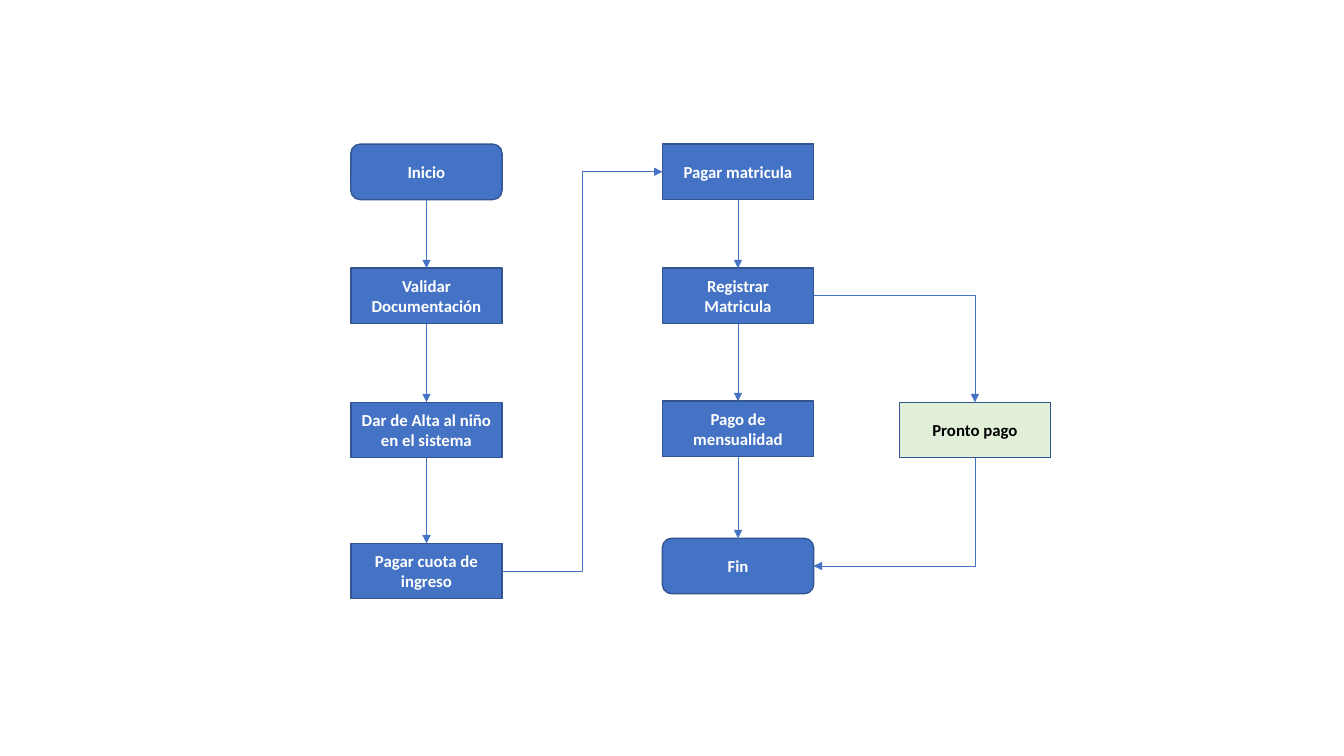
from dataclasses import dataclass

import pptx
import pptx.dml.color
import pptx.enum.shapes
import pptx.enum.text
import pptx.oxml.ns
import pptx.util
from lxml import etree

Inches = pptx.util.Inches
Shapes = pptx.enum.shapes.MSO_SHAPE
Connectors = pptx.enum.shapes.MSO_CONNECTOR
qn = pptx.oxml.ns.qn

COLORS = {"blue": "4472C4", "outline": "325491", "green": "E2F0D9",
          "white": "FFFFFF", "black": "000000"}
STEP_WIDTH, STEP_HEIGHT = Inches(1.5), Inches(0.55)
ENROL_X, PAYMENT_X, DISCOUNT_X = 3.48, 6.57, 8.92
TOP, LEFT, BOTTOM, RIGHT = range(4)  # connection sites of a box


@dataclass(frozen=True)
class Step:
    """A box of the flow, placed in inches."""
    text: str
    left: float
    top: float
    rounded: bool = False
    fill: str = "blue"
    color: str = "white"


@dataclass(frozen=True)
class Link:
    """An arrow between two steps, by key; a preset bends it."""
    source: str
    target: str
    exit: int = BOTTOM
    entry: int = TOP
    bend: str = ""


STEPS = {
    "start": Step("Inicio", ENROL_X, 1.43, rounded=True),
    "validate": Step("Validar Documentación", ENROL_X, 2.66),
    "register_child": Step("Dar de Alta al niño en el sistema", ENROL_X, 3.99),
    "entry_fee": Step("Pagar cuota de ingreso", ENROL_X, 5.39),
    "pay_enrolment": Step("Pagar matricula", PAYMENT_X, 1.43),
    "record_enrolment": Step("Registrar Matricula", PAYMENT_X, 2.66),
    "monthly_fee": Step("Pago de mensualidad", PAYMENT_X, 3.98),
    "end": Step("Fin", PAYMENT_X, 5.34, rounded=True),
    "early_payment": Step("Pronto pago", DISCOUNT_X, 3.99, fill="green", color="black"),
}
LINKS = [
    Link("start", "validate"),
    Link("validate", "register_child"),
    Link("register_child", "entry_fee"),
    Link("entry_fee", "pay_enrolment", RIGHT, LEFT, "bentConnector3"),
    Link("pay_enrolment", "record_enrolment"),
    Link("record_enrolment", "monthly_fee"),
    Link("monthly_fee", "end"),
    Link("record_enrolment", "early_payment", RIGHT, TOP, "bentConnector2"),
    Link("early_payment", "end", BOTTOM, RIGHT, "bentConnector2"),
]


def rgb(name: str) -> pptx.dml.color.RGBColor:
    """Look up a colour by name."""
    return pptx.dml.color.RGBColor.from_string(COLORS[name])


def write_text(frame, text: str, *, size: float = 12, color: str = "white",
               bold: bool = True, font: str = "Calibri") -> None:
    """Write centred text into a text frame."""
    frame.word_wrap = True
    frame.vertical_anchor = pptx.enum.text.MSO_ANCHOR.MIDDLE
    paragraph = frame.paragraphs[0]
    paragraph.alignment = pptx.enum.text.PP_ALIGN.CENTER
    run = paragraph.add_run()
    run.text = text
    run.font.name, run.font.size, run.font.bold = font, pptx.util.Pt(size), bold
    run.font.color.rgb = rgb(color)


def draw_step(slide, step: Step):
    """Draw one box with its label."""
    preset = Shapes.ROUNDED_RECTANGLE if step.rounded else Shapes.RECTANGLE
    box = slide.shapes.add_shape(preset, Inches(step.left), Inches(step.top),
                                 STEP_WIDTH, STEP_HEIGHT)
    box.shadow.inherit = False
    box.fill.solid()
    box.fill.fore_color.rgb = rgb(step.fill)
    box.line.color.rgb = rgb("outline")
    box.line.width = pptx.util.Pt(1)
    write_text(box.text_frame, step.text, color=step.color)
    return box


def turn_down_then_left(arrow) -> None:
    """Rotate a one-bend arrow so that it leaves downwards and ends leftwards."""
    center_x = arrow.left + arrow.width // 2
    center_y = arrow.top + arrow.height // 2
    arrow.width, arrow.height = arrow.height, arrow.width
    arrow.left = center_x - arrow.width // 2
    arrow.top = center_y - arrow.height // 2
    xfrm = arrow._element.spPr.find(qn("a:xfrm"))
    xfrm.attrib.pop("flipH", None)
    xfrm.set("rot", str(90 * 60000))


def draw_link(slide, link: Link, boxes: dict) -> None:
    """Draw an arrow glued to its two boxes."""
    kind = Connectors.ELBOW if link.bend else Connectors.STRAIGHT
    arrow = slide.shapes.add_connector(kind, 0, 0, 0, 0)
    arrow.begin_connect(boxes[link.source], link.exit)
    arrow.end_connect(boxes[link.target], link.entry)
    arrow.line.color.rgb = rgb("blue")
    arrow.line.width = pptx.util.Pt(0.5)
    properties = arrow._element.spPr
    etree.SubElement(properties.find(qn("a:ln")), qn("a:tailEnd"), type="triangle")
    etree.SubElement(properties, qn("a:effectLst"))
    if link.bend:
        properties.find(qn("a:prstGeom")).set("prst", link.bend)
    if link.bend and link.exit == BOTTOM:
        turn_down_then_left(arrow)


def main() -> None:
    """Build the enrolment flow and save it."""
    deck = pptx.Presentation()
    deck.slide_width, deck.slide_height = Inches(13.33), Inches(7.5)
    slide = deck.slides.add_slide(deck.slide_layouts[6])
    boxes = {key: draw_step(slide, step) for key, step in STEPS.items()}
    for link in LINKS:
        draw_link(slide, link, boxes)
    deck.save("out.pptx")


main()
